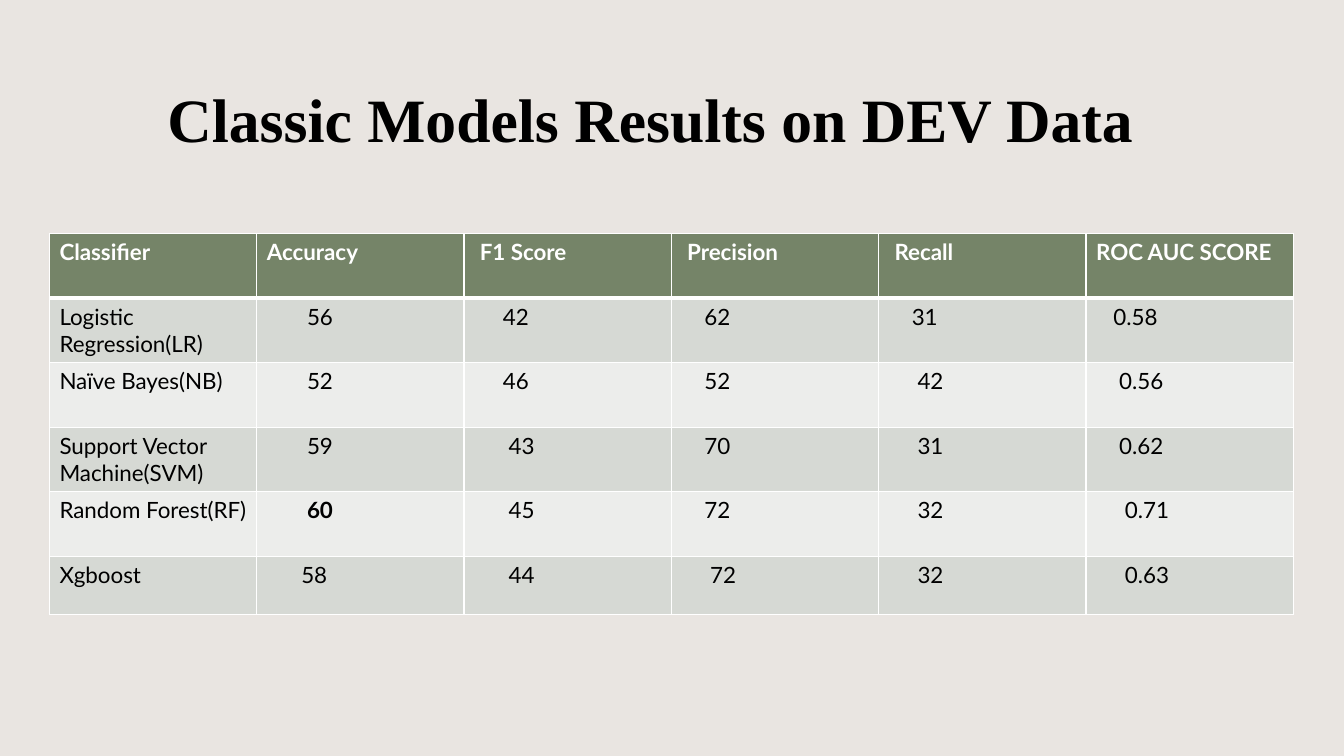
from pptx import Presentation
from pptx.dml.color import RGBColor
from pptx.enum.text import MSO_ANCHOR
from pptx.oxml import parse_xml
from pptx.oxml.ns import nsdecls
from pptx.util import Inches, Pt

BACKGROUND = RGBColor(0xE9, 0xE5, 0xE1)
HEADER_GREEN = RGBColor(0x75, 0x84, 0x68)
BAND_DARK = RGBColor(0xD6, 0xD9, 0xD4)
BAND_LIGHT = RGBColor(0xEC, 0xED, 0xEB)
BLACK = RGBColor(0x00, 0x00, 0x00)
WHITE = RGBColor(0xFF, 0xFF, 0xFF)

TABLE_WIDTH = 12.34
ROW_HEIGHTS = [0.64] * 5 + [0.58]
INDENT_STEP = 0.057

# Each row: cell texts, then the indent of each cell in steps
RESULTS = [
    (["Classifier", "Accuracy", "F1 Score", "Precision", "Recall", "ROC AUC SCORE"],
     [0, 0, 1, 1, 1, 0]),
    (["Logistic Regression(LR)", "56", "42", "62", "31", "0.58"], [0, 7, 5, 4, 4, 3]),
    (["Naïve Bayes(NB)", "52", "46", "52", "42", "0.56"], [0, 7, 5, 4, 5, 4]),
    (["Support Vector Machine(SVM)", "59", "43", "70", "31", "0.62"], [0, 7, 6, 4, 5, 4]),
    (["Random Forest(RF)", "60", "45", "72", "32", "0.71"], [0, 7, 6, 4, 5, 5]),
    (["Xgboost", "58", "44", "72", "32", "0.63"], [0, 6, 6, 5, 5, 5]),
]
BEST_ACCURACY = "60"


def write_text(frame, text, **font_format):
    span = frame.paragraphs[0].add_run()
    span.text = text
    span.font.color.rgb = font_format.pop("color")
    for name, value in font_format.items():
        setattr(span.font, name, value)


def add_borders(cell, widths):
    properties = cell._tc.get_or_add_tcPr()
    for position, (side, points) in enumerate(widths.items()):
        properties.insert(position, parse_xml(
            f'<a:ln{side} {nsdecls("a")} w="{Pt(points)}"><a:solidFill>'
            f'<a:srgbClr val="{WHITE}"/></a:solidFill></a:ln{side}>'))


# Page
deck = Presentation()
deck.slide_width, deck.slide_height = Inches(13.33), Inches(7.5)
page = deck.slides.add_slide(deck.slide_layouts[6])
page.background.fill.solid()
page.background.fill.fore_color.rgb = BACKGROUND

# Title
title = page.shapes.add_textbox(Inches(0.5), Inches(0.4), Inches(11.92), Inches(1.45))
frame_format = {"word_wrap": True, "vertical_anchor": MSO_ANCHOR.MIDDLE,
                "margin_left": Inches(1.16), "margin_top": Inches(0.13)}
for name, value in frame_format.items():
    setattr(title.text_frame, name, value)
write_text(title.text_frame, "Classic Models Results on DEV Data",
           name="Times New Roman", size=Pt(44), bold=True, color=BLACK)

# Results table
table = page.shapes.add_table(len(RESULTS), len(RESULTS[0][0]), Inches(0.49), Inches(2.32),
                              Inches(TABLE_WIDTH), Inches(sum(ROW_HEIGHTS))).table
for column in table.columns:
    column.width = Inches(TABLE_WIDTH / len(table.columns))

for row_index, (texts, indents) in enumerate(RESULTS):
    table.rows[row_index].height = Inches(ROW_HEIGHTS[row_index])
    is_header = row_index == 0
    band = BAND_DARK if row_index % 2 else BAND_LIGHT
    for column_index, (text, steps) in enumerate(zip(texts, indents)):
        cell = table.cell(row_index, column_index)
        cell.margin_left = Inches(0.1 + steps * INDENT_STEP)
        cell.fill.solid()
        cell.fill.fore_color.rgb = HEADER_GREEN if is_header else band
        add_borders(cell, {"L": 1, "R": 1, "T": 3 if row_index == 1 else 1,
                           "B": 3 if is_header else 1})
        write_text(cell.text_frame, text, name="Lato", size=Pt(16),
                   bold=is_header or text == BEST_ACCURACY,
                   color=WHITE if is_header else BLACK)

deck.save("out.pptx")
